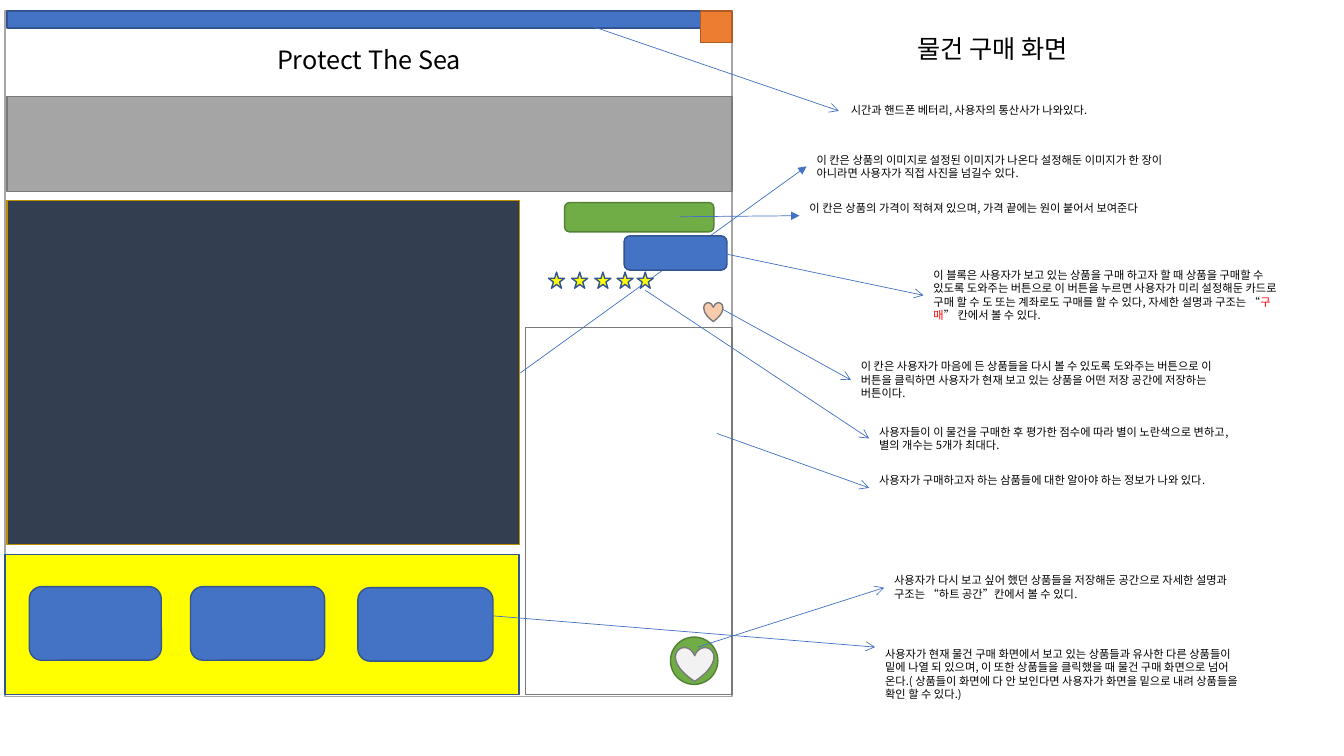
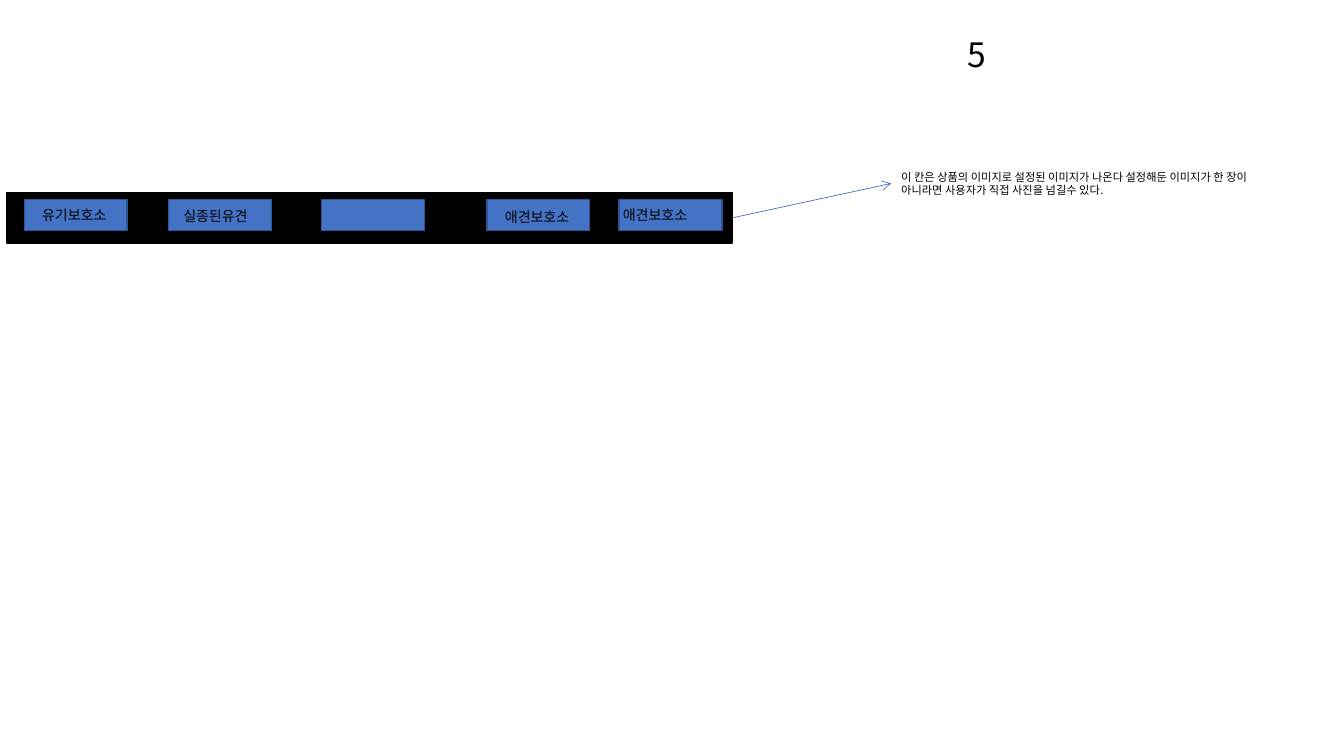
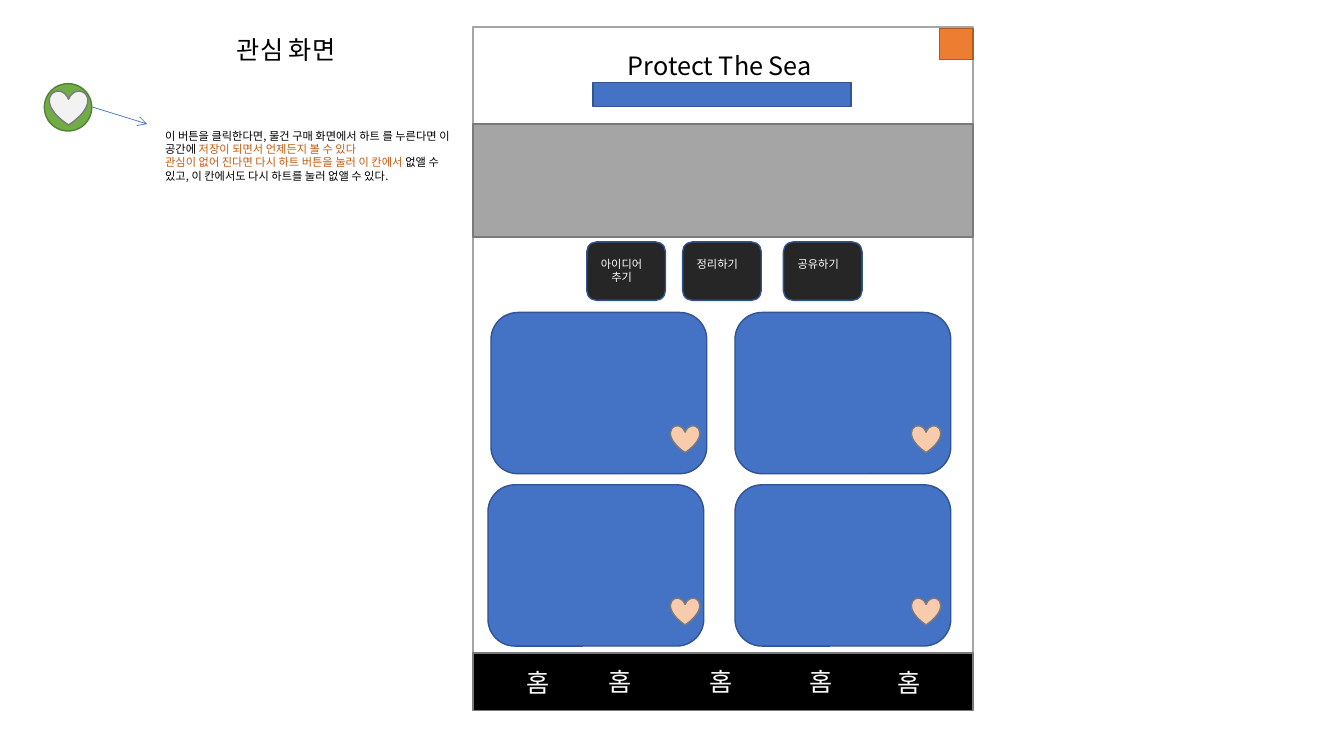
from lxml import etree
from pptx import Presentation
from pptx.dml.color import RGBColor
from pptx.enum.shapes import MSO_CONNECTOR, MSO_SHAPE
from pptx.enum.text import MSO_ANCHOR, MSO_AUTO_SIZE, PP_ALIGN
from pptx.oxml.ns import qn
from pptx.util import Inches, Pt

RECT = MSO_SHAPE.RECTANGLE
ROUND = MSO_SHAPE.ROUNDED_RECTANGLE
PILL = MSO_SHAPE.FLOWCHART_ALTERNATE_PROCESS
CIRCLE = MSO_SHAPE.FLOWCHART_CONNECTOR
HEART = MSO_SHAPE.HEART
STAR = MSO_SHAPE.STAR_5_POINT
LEFT, CENTER = PP_ALIGN.LEFT, PP_ALIGN.CENTER

FONT = "Noto Sans CJK KR"
COLORS = {
    "black": "000000", "white": "FFFFFF", "red": "FF0000", "rust": "C55A11",
    "blue": "4472C4", "navy": "325491", "gray": "A5A5A5", "dark gray": "7A7A7A",
    "orange": "ED7D31", "brown": "AF5C24", "green": "70AD47", "moss": "538035",
    "slate": "333F50", "gold": "BD8E00", "yellow": "FFFF00", "peach": "F8CBAD",
    "pale": "F2F2F2", "charcoal": "262626",
}
# Fill and outline of each kind of part
STYLES = {
    "frame": ("white", "gray"), "panel": ("white", "dark gray"),
    "banner": ("gray", "dark gray"), "block": ("blue", "navy"),
    "corner": ("orange", "brown"), "green": ("green", "moss"),
    "photo": ("slate", "gold"), "yellow": ("yellow", "navy"),
    "like": ("peach", "dark gray"), "saved": ("pale", "dark gray"),
    "menu": ("black", "black"), "home bar": ("black", "dark gray"),
    "tool": ("charcoal", "navy"),
}
NOTE_WIDTH = 3.72
APP_NAME = "Protect The Sea"
PHOTO_NOTE = ("이 칸은 상품의 이미지로 설정된 이미지가 나온다 설정해둔 이미지가 한 장이 "
              "아니라면 사용자가 직접 사진을 넘길수 있다.")

# Purchase screen: shape, style, left, top, width, height
SHOP_BACK = [
    (RECT, "frame", 0.05, 0.11, 7.21, 6.8),
    (RECT, "block", 0.07, 0.11, 7.18, 0.17),
    (RECT, "banner", 0.07, 0.96, 7.19, 0.94),
    (RECT, "corner", 6.95, 0.11, 0.31, 0.31),
    (RECT, "panel", 5.21, 3.25, 2.05, 3.64),
    (CIRCLE, "green", 6.65, 6.32, 0.47, 0.47),
    (HEART, "saved", 6.7, 6.42, 0.38, 0.34),
    (RECT, "photo", 0.07, 1.99, 5.08, 3.41),
]
SHOP_FRONT = [
    (PILL, "green", 5.6, 2.01, 1.48, 0.29),
    (ROUND, "block", 6.19, 2.34, 1.02, 0.34),
    (HEART, "like", 6.98, 3, 0.19, 0.19),
    (RECT, "yellow", 0.05, 5.5, 5.1, 1.39),
    (ROUND, "block", 0.29, 5.82, 1.31, 0.73),
    (ROUND, "block", 1.89, 5.82, 1.33, 0.73),
    (ROUND, "block", 3.55, 5.83, 1.34, 0.73),
]
STAR_LEFTS = [5.44, 5.67, 5.9, 6.12, 6.32]

# Callouts: arrow start, arrow end, arrowhead, note left and top, note text
PHOTO_CALLOUT = ((5.16, 3.7), (8, 1.65), "triangle", (8, 1.47), PHOTO_NOTE)
SHOP_CALLOUTS = [
    ((6.74, 2.15), (7.93, 2.14), "triangle", (7.93, 1.95),
     "이 칸은 상품의 가격이 적혀져 있으며, 가격 끝에는 원이 붙어서 보여준다"),
    ((5.87, 0.26), (8.32, 1.1), "arrow", (8.34, 0.98),
     "시간과 핸드폰 베터리, 사용자의 통산사가 나와있다."),
    ((7.2, 2.52), (9.16, 2.93), "arrow", (9.16, 2.61),
     [[("이 블록은 사용자가 보고 있는 상품을 구매 하고자 할 때 상품을 구매할 수 있도록 "
        "도와주는 버튼으로 이 버튼을 누르면 사용자가 미리 설정해둔 카드로 구매 할 수 도 "
        "또는 계좌로도 구매를 할 수 있다, 자세한 설명과 구조는 “", "black"),
       ("구매", "red"), ("” 칸에서 볼 수 있다.", "black")]]),
    ((7.17, 3.07), (8.44, 3.77), "arrow", (8.44, 3.52),
     "이 칸은 사용자가 마음에 든 상품들을 다시 볼 수 있도록 도와주는 버튼으로 이 버튼을 "
     "클릭하면 사용자가 현재 보고 있는 상품을 어떤 저장 공간에 저장하는 버튼이다."),
    ((7.11, 4.3), (8.62, 4.84), "arrow", (8.62, 4.65),
     "사용자가 구매하고자 하는 삼품들에 대한 알아야 하는 정보가 나와 있다."),
    ((6.4, 2.88), (8.62, 4.35), "arrow", (8.62, 4.17),
     "사용자들이 이 물건을 구매한 후 평가한 점수에 따라 별이 노란색으로 변하고, "
     "별의 개수는 5개가 최대다."),
    ((6.92, 6.42), (8.77, 5.83), "arrow", (8.77, 5.64),
     "사용자가 다시 보고 싶어 했던 상품들을 저장해둔 공간으로 자세한 설명과 구조는 "
     "“하트 공간”칸에서 볼 수 있디."),
    ((4.89, 6.11), (8.68, 6.42), "arrow", (8.68, 6.37),
     "사용자가 현재 물건 구매 화면에서 보고 있는 상품들과 유사한 다른 상품들이 밑에 나열 되 "
     "있으며, 이 또한 상품들을 클릭했을 때 물건 구매 화면으로 넘어 온다.( 상품들이 화면에 "
     "다 안 보인다면 사용자가 화면을 밑으로 내려 상품들을 확인 할 수 있다.)"),
]

# Menu bar: button lefts, then label, left, top
MENU_LEFTS = [0.24, 1.67, 3.19, 4.83, 6.14]
MENU_LABELS = [("유기보호소", 0.32, 2), ("실종된유견", 1.72, 2.01),
               ("애견보호소", 4.91, 2.02), ("애견보호소", 6.08, 2)]
MENU_CALLOUT = ((7.27, 2.16), (8.84, 1.82), "arrow", (8.84, 1.64), PHOTO_NOTE)

# Favourites screen
LIKES_SHAPES = [
    (CIRCLE, "green", 0.44, 0.83, 0.47, 0.47),
    (HEART, "saved", 0.49, 0.9, 0.38, 0.34),
    (RECT, "frame", 4.69, 0.27, 4.96, 6.77),
    (RECT, "banner", 4.69, 1.23, 4.96, 1.12),
    (RECT, "block", 5.88, 0.82, 2.56, 0.24),
    (RECT, "home bar", 4.69, 6.48, 4.96, 0.57),
    (RECT, "corner", 9.32, 0.28, 0.33, 0.31),
]
LIKES_NOTE = [
    [("이 버튼을 클릭한다면, 물건 구매 화면에서 하트 를 누른다면 이 공간에", "black"),
     (" 저장이 되면서 언제든지 볼 수 있다", "rust")],
    [("관심이 없어 진다면 다시 하트 버튼을 눌러 이 칸에서 ", "rust"),
     ("없앨 수 있고, 이 칸에서도 다시 하트를 눌러 없앨 수 있다.", "black")],
]
# Card rows: top, lefts of the two cards
CARD_ROWS = [(3.1, (4.87, 7.29)), (4.81, (4.84, 7.29))]
LIKE_LEFTS = (6.65, 9.04)
TOOLS = [(5.82, ["아이디어", "추기"]), (6.77, ["정리하기"]), (7.77, ["공유하기"])]
HOMES = [(5.12, 6.57), (5.94, 6.56), (6.94, 6.56), (7.93, 6.56), (8.8, 6.57)]


def color(name):
    return RGBColor.from_string(COLORS[name])


def fill_text(box, text, size=8, tint="black", align=LEFT):
    """Text is a string, or a list of paragraphs made of (words, colour) spans."""
    frame = box.text_frame
    frame.word_wrap = True
    frame.auto_size = MSO_AUTO_SIZE.SHAPE_TO_FIT_TEXT
    frame.vertical_anchor = MSO_ANCHOR.TOP
    paragraphs = [[(text, tint)]] if isinstance(text, str) else text
    for index, spans in enumerate(paragraphs):
        para = frame.add_paragraph() if index else frame.paragraphs[0]
        para.alignment = align
        for words, shade in spans:
            span = para.add_run()
            span.text = words
            span.font.size = Pt(size)
            span.font.name = FONT
            span.font.color.rgb = color(shade)
            east_asian = etree.SubElement(span.font._element, qn("a:ea"))
            east_asian.set("typeface", FONT)


def add_text(page, text, left, top, width, height=0.37, **style):
    box = page.shapes.add_textbox(*map(Inches, (left, top, width, height)))
    fill_text(box, text, **style)


def add_part(page, kind, style, left, top, width, height):
    shape = page.shapes.add_shape(kind, *map(Inches, (left, top, width, height)))
    fill, line = STYLES[style]
    shape.shadow.inherit = False
    shape.fill.solid()
    shape.fill.fore_color.rgb = color(fill)
    shape.line.color.rgb = color(line)
    shape.line.width = Pt(1)


def add_arrow(page, start, end, head):
    arrow = page.shapes.add_connector(MSO_CONNECTOR.STRAIGHT, *map(Inches, start + end))
    arrow.line.color.rgb = color("blue")
    arrow.line.width = Pt(0.5)
    properties = arrow.element.spPr
    etree.SubElement(properties.find(qn("a:ln")), qn("a:tailEnd")).set("type", head)
    etree.SubElement(properties, qn("a:effectLst"))


def add_callout(page, start, end, head, place, text):
    add_arrow(page, start, end, head)
    add_text(page, text, *place, NOTE_WIDTH)


def add_page(deck, title, left, top, size=18):
    page = deck.slides.add_slide(deck.slide_layouts[5])
    box = page.shapes.title
    box.left, box.top, box.width, box.height = map(Inches, (left, top, 2.06, size / 45))
    fill_text(box, title, size=size)
    return page


def build_shop(deck):
    page = add_page(deck, "물건 구매 화면", 9, 0.28)
    for part in SHOP_BACK:
        add_part(page, *part)
    add_text(page, APP_NAME, 2.65, 0.39, 2.06, size=18)
    add_callout(page, *PHOTO_CALLOUT)
    for part in SHOP_FRONT:
        add_part(page, *part)
    for left in STAR_LEFTS:
        add_part(page, STAR, "yellow", left, 2.7, 0.16, 0.16)
    for callout in SHOP_CALLOUTS:
        add_callout(page, *callout)


def build_menu(deck):
    page = add_page(deck, "5", 9.5, 0.29, size=24)
    add_part(page, RECT, "menu", 0.07, 1.91, 7.19, 0.5)
    for left in MENU_LEFTS:
        add_part(page, RECT, "block", left, 1.98, 1.02, 0.31)
    for label, left, top in MENU_LABELS:
        add_text(page, label, left, top, 1, 0.27, size=10)
    add_callout(page, *MENU_CALLOUT)


def build_likes(deck):
    page = add_page(deck, "관심 화면", 2.25, 0.29)
    add_text(page, LIKES_NOTE, 1.54, 1.23, 3.04, 0.64)
    for part in LIKES_SHAPES:
        add_part(page, *part)
    add_arrow(page, (0.91, 1.06), (1.46, 1.23), "arrow")
    add_text(page, APP_NAME, 6.13, 0.45, 2.06, size=18)
    # Cards, each with a heart
    for top, lefts in CARD_ROWS:
        for left, like_left in zip(lefts, LIKE_LEFTS):
            add_part(page, ROUND, "block", left, top, 2.14, 1.6)
            add_part(page, HEART, "like", like_left, top + 1.12, 0.29, 0.27)
    # Tool buttons and home bar
    for left, lines in TOOLS:
        add_part(page, ROUND, "tool", left, 2.4, 0.78, 0.58)
        label = [[(line, "white")] for line in lines]
        add_text(page, label, left, 2.5, 0.69, align=CENTER)
    for left, top in HOMES:
        add_text(page, "홈", left, top, 0.53, 0.4, size=18, tint="white")


def main():
    deck = Presentation()
    deck.slide_width, deck.slide_height = Inches(13.33), Inches(7.5)
    for build in (build_shop, build_menu, build_likes):
        build(deck)
    deck.save("out.pptx")


if __name__ == "__main__":
    main()
